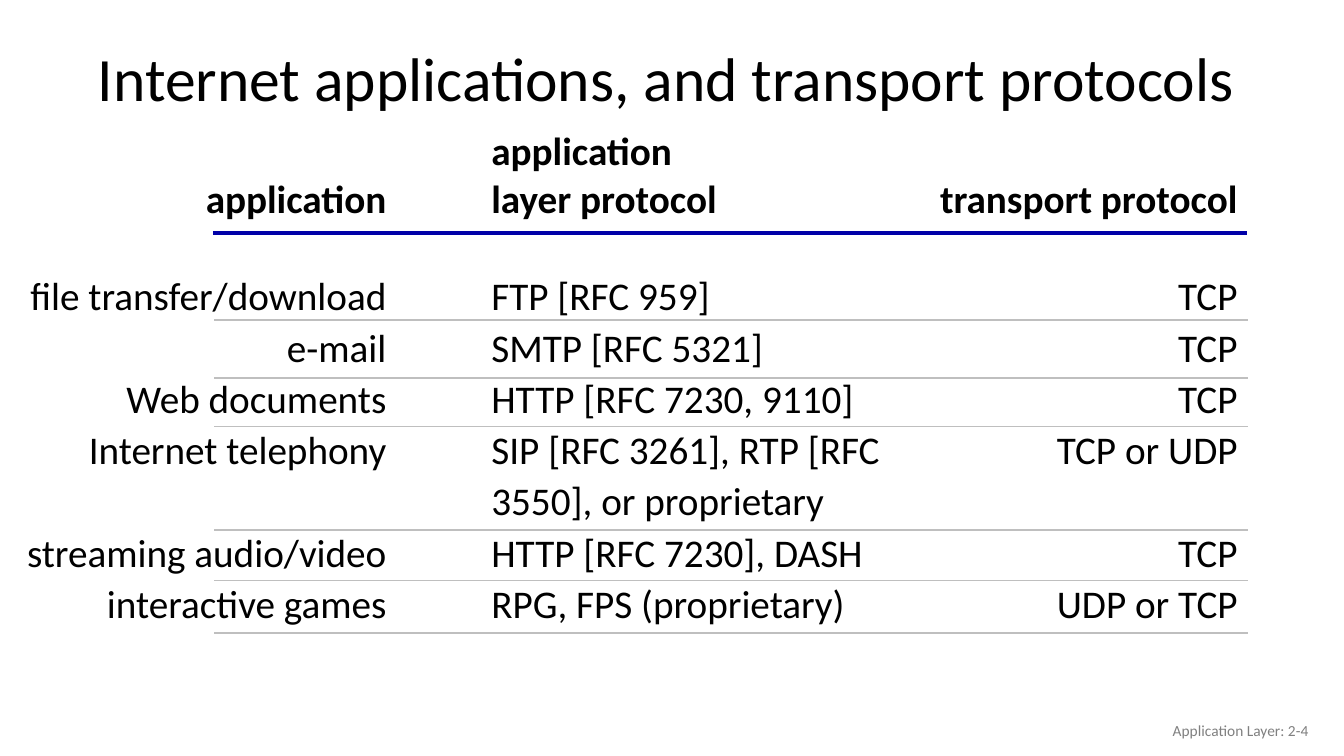
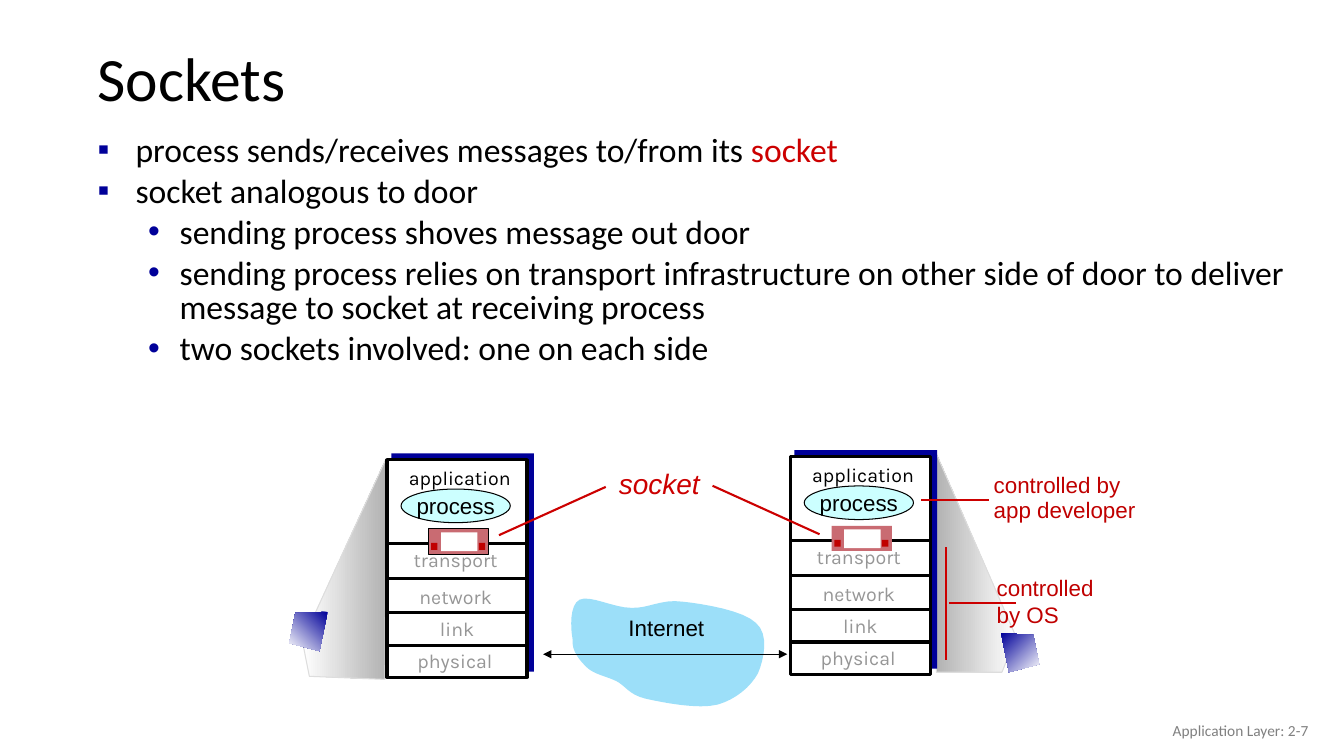
import pptx
import pptx.dml.color
import pptx.enum.shapes
import pptx.enum.text
import pptx.oxml
import pptx.oxml.ns
import pptx.util

Pt = pptx.util.Pt
Align = pptx.enum.text.PP_ALIGN
Anchor = pptx.enum.text.MSO_ANCHOR
Preset = pptx.enum.shapes.MSO_SHAPE

COLORS = {
    "black": "000000", "white": "FFFFFF", "footer": "808080",
    "header_rule": "0000A8", "row_rule": "BFBFBF", "navy": "000099",
    "red": "CC0000", "dark_red": "C00000", "pink": "C96B72",
    "cyan": "CCFFFF", "sky": "9CDFF9", "layer": "969696",
    "cone": "B2B2B2", "cone_edge": "DDDDDD",
}
TITLE_LAYOUT, LIST_LAYOUT = 5, 1
FOOTER = "Application Layer: 2-{}"


def color(name):
    return pptx.dml.color.RGBColor.from_string(COLORS[name])


def child(parent, tag, **attributes):
    """Append a drawing element with the given attributes."""
    element = parent.makeelement(pptx.oxml.ns.qn(tag), attributes)
    parent.append(element)
    return element


def write(para, text, ink="black", **styles):
    """Add a run of text with the given font values."""
    span = para.add_run()
    span.text = text
    span.font.color.rgb = color(ink)
    for key, value in styles.items():
        setattr(span.font, key, value)


def curve(start, segments, steps=8):
    """Points along a chain of cubic curves, each (control, control, end)."""
    points = [start]
    for first, second, end in segments:
        for step in range(1, steps + 1):
            t = step / steps
            weights = ((1 - t) ** 3, 3 * t * (1 - t) ** 2, 3 * t * t * (1 - t), t ** 3)
            corners = (start, first, second, end)
            points.append(tuple(sum(w * corner[axis] for w, corner in zip(weights, corners))
                                for axis in (0, 1)))
        start = end
    return points


class Deck:
    def __init__(self):
        self.file = pptx.Presentation()
        self.file.slide_width, self.file.slide_height = Pt(960), Pt(540)
        self.page = None

    def new_page(self, title, number, layout):
        self.page = self.file.slides.add_slide(self.file.slide_layouts[layout])
        box = self.page.shapes.title
        self.place(box, 62.6, 23, 828, 70.6)
        self.frame(box, anchor=Anchor.MIDDLE)
        para = box.text_frame.paragraphs[0]
        para.alignment, para.line_spacing = Align.LEFT, 0.9
        write(para, title, name="Calibri", size=Pt(44))
        self.text(FOOTER.format(number), 725.8, 507.6, 216, 28.8, ink="footer",
                  align=Align.RIGHT, anchor=Anchor.MIDDLE, name="Calibri", size=Pt(11))

    def place(self, box, *bounds):
        for key, value in zip(("left", "top", "width", "height"), bounds):
            setattr(box, key, Pt(value))

    def frame(self, box, anchor=Anchor.TOP, wrap=True):
        settings = {"word_wrap": wrap, "vertical_anchor": anchor,
                    "auto_size": pptx.enum.text.MSO_AUTO_SIZE.NONE}
        for key, value in settings.items():
            setattr(box.text_frame, key, value)

    def text(self, words, x, y, width, height, ink="black", align=Align.LEFT,
             anchor=Anchor.TOP, spacing=1.0, **styles):
        box = self.page.shapes.add_textbox(Pt(x), Pt(y), Pt(width), Pt(height))
        self.frame(box, anchor)
        self.lines(box.text_frame, words, ink, align, spacing, **styles)

    def lines(self, frame, words, ink, align, spacing, **styles):
        """Write each line of the words as a paragraph."""
        for index, line in enumerate(words.split("\n")):
            para = frame.add_paragraph() if index else frame.paragraphs[0]
            para.alignment, para.line_spacing = align, spacing
            write(para, line, ink, **styles)

    def outline(self, shape, ink, weight):
        shape.shadow.inherit = False
        if ink:
            shape.line.color.rgb = color(ink)
            shape.line.width = Pt(weight)
        else:
            shape.line.fill.background()

    def shape(self, preset, x, y, width, height, fill, line=None, weight=0.75, parent=None):
        shapes = (parent or self.page).shapes
        shape = shapes.add_shape(preset, Pt(x), Pt(y), Pt(width), Pt(height))
        shape.fill.solid()
        shape.fill.fore_color.rgb = color(fill)
        self.outline(shape, line, weight)
        return shape

    def freeform(self, points, fill, angle=0, line=None):
        """Draw a closed outline; a pair of fills makes a gradient."""
        corners = [(Pt(x), Pt(y)) for x, y in points]
        builder = self.page.shapes.build_freeform(*corners[0], scale=1.0)
        builder.add_line_segments(corners[1:], close=True)
        shape = builder.convert_to_shape()
        if isinstance(fill, tuple):
            shape.fill.gradient()
            shape.fill.gradient_angle = angle
            for stop, name in zip(shape.fill.gradient_stops, fill):
                stop.color.rgb = color(name)
        else:
            shape.fill.solid()
            shape.fill.fore_color.rgb = color(fill)
        self.outline(shape, line, 0.75)

    def line(self, x1, y1, x2, y2, ink, weight, arrows=False):
        straight = pptx.enum.shapes.MSO_CONNECTOR.STRAIGHT
        line = self.page.shapes.add_connector(straight, Pt(x1), Pt(y1), Pt(x2), Pt(y2))
        line.line.color.rgb = color(ink)
        line.line.width = Pt(weight)
        properties = line._element.spPr
        if arrows:
            stroke = properties.find(pptx.oxml.ns.qn("a:ln"))
            for tag in ("a:headEnd", "a:tailEnd"):
                child(stroke, tag, type="triangle")
        child(properties, "a:effectLst")

    def bullets(self, items, *bounds):
        """Fill the body with items of (level, spans)."""
        looks = (("▪", 27, 27), ("•", 58.5, 22.5))
        box = self.page.placeholders[1]
        self.place(box, *bounds)
        self.frame(box)
        for index, (level, spans) in enumerate(items):
            frame = box.text_frame
            para = frame.add_paragraph() if index else frame.paragraphs[0]
            para.level, para.line_spacing = level, 0.85
            para.space_before = Pt(4.8 if index else 0)
            mark, margin, hang = looks[level]
            properties = para._p.get_or_add_pPr()
            properties.set("marL", str(Pt(margin)))
            properties.set("indent", str(-Pt(hang)))
            child(child(properties, "a:buClr"), "a:srgbClr", val=COLORS["navy"])
            child(properties, "a:buFont", typeface="Arial")
            child(properties, "a:buChar", char=mark)
            for words, ink in spans:
                write(para, words, ink, name="Calibri", size=Pt(24))

    def table(self, rows, x, y, widths, heights, aligns, indents, header_gap):
        holder = self.page.shapes.add_table(len(rows), len(widths), Pt(x), Pt(y),
                                            Pt(sum(widths)), Pt(sum(heights)))
        table = holder.table
        table.first_row = table.horz_banding = False
        for column, width in zip(table.columns, widths):
            column.width = Pt(width)
        for r, (row, height) in enumerate(zip(rows, heights)):
            table.rows[r].height = Pt(height)
            for c, words in enumerate(row):
                cell = table.cell(r, c)
                cell.fill.background()
                margins = {"left": indents[c], "right": 0, "top": 0,
                           "bottom": 0 if r else header_gap}
                for side, value in margins.items():
                    setattr(cell, "margin_" + side, Pt(value))
                cell.vertical_anchor = Anchor.TOP if r else Anchor.BOTTOM
                self.lines(cell.text_frame, words, "black", aligns[c], 1.07 if r else 1.0,
                           name="Calibri", size=Pt(28), bold=r == 0)

    def socket(self, x, y, line=None):
        group = self.page.shapes.add_group_shape()
        self.shape(Preset.RECTANGLE, x, y, 43, 18, "pink", line, parent=group)
        self.shape(Preset.RECTANGLE, x + 9, y + 2.5, 26, 13.5, "white", parent=group)
        for offset in (2, 36):
            self.shape(Preset.RECTANGLE, x + offset, y + 10, 4.5, 5, "dark_red", parent=group)

    def host(self, x, y, socket_line=None):
        """Draw a protocol stack with its process and socket."""
        self.shape(Preset.RECTANGLE, x + 3, y - 4.5, 102, 156, "navy")
        self.shape(Preset.RECTANGLE, x, y, 100, 155.5, "white", "black", 2.25)
        for offset in (60, 85, 109.5, 132.5):
            self.line(x, y + offset, x + 100, y + offset, "black", 2.25)
        layers = (("application", 0, -1), ("transport", -3, 58), ("network", -3, 84),
                  ("link", -2, 107), ("physical", -3.5, 130))
        for name, dx, dy in layers:
            self.text(name, x + dx, y + dy, 104, 26, spacing=1.1, align=Align.CENTER,
                      ink="layer" if dy > 0 else "black", name="Karla", size=Pt(14))
        process = self.shape(Preset.OVAL, x + 10, y + 21, 78, 24, "cyan", "black")
        self.frame(process, Anchor.MIDDLE, wrap=False)
        para = process.text_frame.paragraphs[0]
        para.alignment = Align.CENTER
        write(para, "process", name="Arial", size=Pt(16))
        self.socket(x + 29.5, y + 49.5, socket_line)


def protocols_page(deck):
    deck.new_page("Internet applications, and transport protocols", 4, TITLE_LAYOUT)
    rows = (
        ("application", "application\nlayer protocol", "transport protocol"),
        ("file transfer/download", "FTP [RFC 959]", "TCP"),
        ("e-mail", "SMTP [RFC 5321]", "TCP"),
        ("Web documents", "HTTP [RFC 7230, 9110]", "TCP"),
        ("Internet telephony", "SIP [RFC 3261], RTP [RFC 3550], or proprietary", "TCP or UDP"),
        ("streaming audio/video", "HTTP [RFC 7230], DASH", "TCP"),
        ("interactive games", "RPG, FPS (proprietary)", "UDP or TCP"),
    )
    row = 36.6
    deck.table(rows, 10, 91, (266, 378, 230), (102, row, row, row, 2 * row, row, row),
               (Align.RIGHT, Align.LEFT, Align.RIGHT), (0, 75, 0), 33)
    deck.line(152, 166.5, 890.6, 166.5, "header_rule", 2.5)
    for y in (228.5, 270, 304.7, 378.7, 414.7, 452.2):
        deck.line(153, y, 891.6, y, "row_rule", 1.25)


def sockets_page(deck):
    deck.new_page("Sockets", 7, LIST_LAYOUT)
    deck.bullets((
        (0, (("process sends/receives messages to/from its ", "black"), ("socket", "red"))),
        (0, (("socket analogous to door", "black"),)),
        (1, (("sending process shoves message out door", "black"),)),
        (1, (("sending process relies on transport infrastructure on other side of door "
              "to deliver message to socket at receiving process", "black"),)),
        (1, (("two sockets involved: one on each side", "black"),)),
    ), 62.6, 92.9, 863.3, 183.6)

    shade = ("white", "cone")
    deck.freeform(((725.8, 455), (668.2, 322.6), (668.9, 480.2), (715.7, 480.2)),
                  shade, 180, "cone_edge")
    deck.freeform(((216, 457.9), (275.8, 327.6), (275, 485.3), (221, 483.1)),
                  shade, 0, "cone_edge")
    deck.freeform(curve((409, 456.5), (
        ((407.5, 448.6), (406.8, 432), (414, 428.4)),
        ((421.2, 424.8), (438.5, 434.2), (450.7, 434.2)),
        ((463, 434.9), (472.3, 427.7), (487.4, 429.8)),
        ((502.6, 431.3), (531.4, 436.3), (540, 445)),
        ((549.4, 452.9), (545.8, 470.9), (541.4, 481)),
        ((536.4, 490.3), (525.6, 499.7), (512.6, 503.3)),
        ((499, 506.9), (473, 501.8), (460.8, 499)),
        ((449.3, 496.1), (447.1, 490.3), (440.6, 486.7)),
        ((433.4, 483.1), (424.1, 481.7), (419, 476.6)),
        ((414, 471.6), (408.2, 465.1), (409, 456.5)),
    )), "sky")
    deck.text("Internet", 436, 434.9, 80, 26.6, align=Align.CENTER, name="Arial", size=Pt(16))
    deck.line(388, 467.3, 562.3, 467.3, "black", 0.75, arrows=True)

    deck.host(276.5, 328.3, socket_line="black")
    deck.host(564.5, 326.1)

    note = {"ink": "dark_red", "name": "Arial", "size": Pt(16)}
    deck.text("controlled\nby OS", 704.9, 406.8, 100, 64.8, **note)
    deck.text("controlled by\napp developer", 702.7, 335.5, 140, 41.8, spacing=0.9, **note)
    deck.text("socket", 434.9, 332.6, 90, 28.8, ink="red", spacing=0.9,
              name="Arial", size=Pt(20), italic=True)
    for ends in ((706.3, 357.1, 658, 357.1), (676, 391, 676, 471.6),
                 (725.8, 430.6, 678.2, 430.6), (356.4, 382.3, 432.7, 347.8),
                 (585.4, 381.6, 509, 347)):
        deck.line(*ends, "red", 1.5)

    screen = ("navy", "white")
    deck.freeform(((234, 437), (211, 437.8), (206.6, 459.4), (228.2, 465.1)), screen, 225)
    deck.freeform(((715, 452.2), (738, 453.6), (742.3, 474.5), (720.7, 480.2)), screen, 315)


def main():
    deck = Deck()
    protocols_page(deck)
    sockets_page(deck)
    deck.file.save("out.pptx")


if __name__ == "__main__":
    main()
